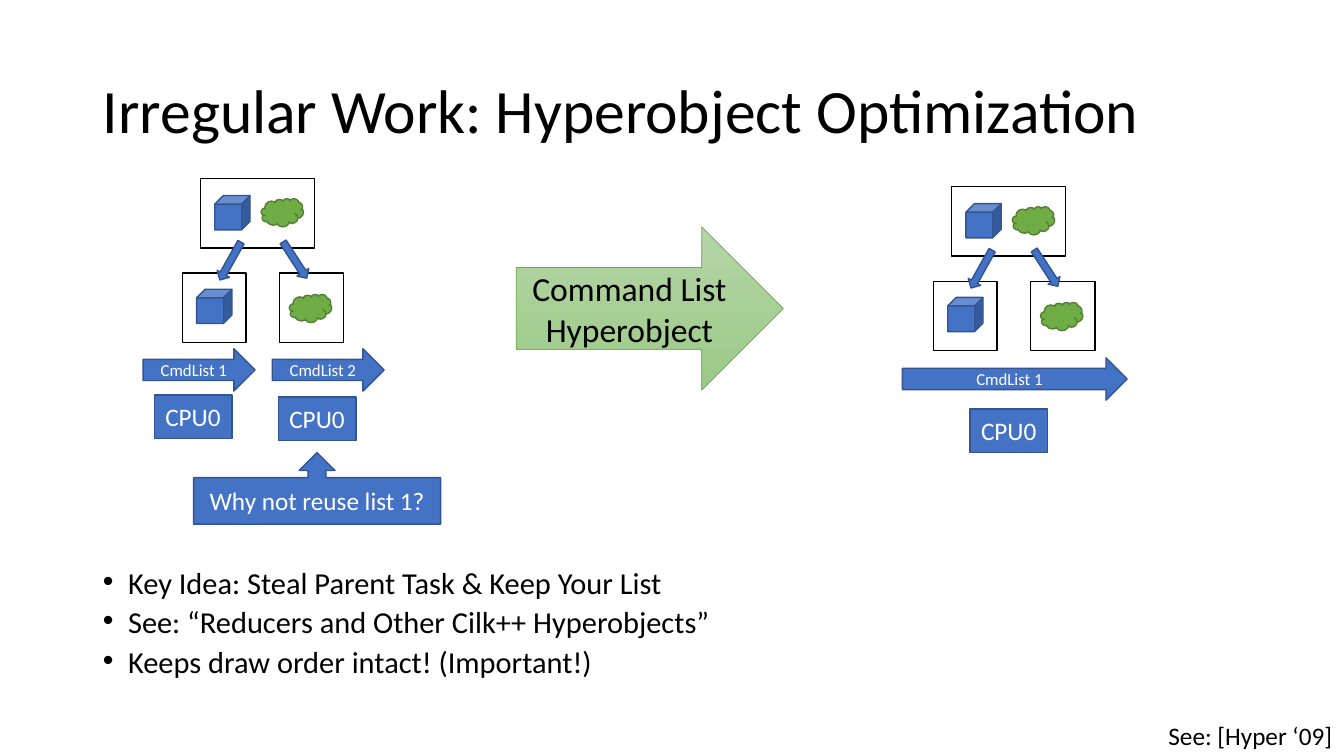
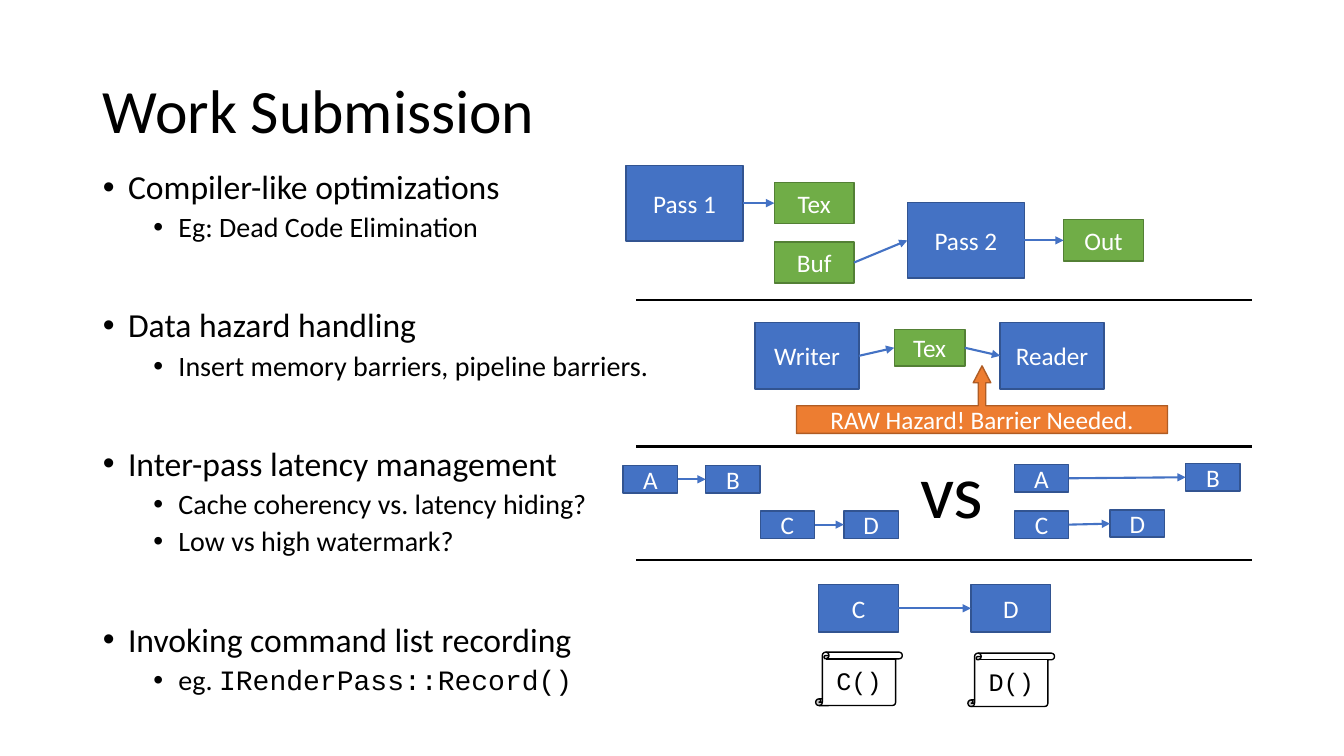
"""Build two slides on command list hyperobjects and work submission."""
import dataclasses

import lxml.etree
import pptx
import pptx.dml.color
import pptx.enum.shapes
import pptx.enum.text
import pptx.oxml.ns
import pptx.util

SHAPE = pptx.enum.shapes.MSO_SHAPE
ALIGN = pptx.enum.text.PP_ALIGN
qualified = pptx.oxml.ns.qn


@dataclasses.dataclass(frozen=True)
class Style:
    """Fill, outline and text look of one family of shapes."""
    fill: str
    line: str
    text: str = "FFFFFF"
    font: str = "Calibri"


@dataclasses.dataclass(frozen=True)
class Theme:
    """Colours, fonts and sizes that the slides share."""
    font: str = "Calibri"
    code_font: str = "Courier New"
    ink: str = "000000"
    accent: str = "4472C4"
    gradient: tuple = ("B5D5A7", "9CC987")
    title_size: float = 44
    heading_size: float = 24
    item_size: float = 20
    label_size: float = 18
    small_size: float = 12
    versus_size: float = 54
    margin: float = 0.92
    content_width: float = 11.5


THEME = Theme()
BLUE = Style(THEME.accent, "325491")
GREEN = Style("70AD47", "538035")
ORANGE = Style("ED7D31", "AF5C24")
PAPER = Style("FFFFFF", THEME.ink, THEME.ink, THEME.code_font)
BIG_ARROW = Style("B5D5A7", "70AD47", THEME.ink)

KEY_POINTS = [
    (0, "Key Idea: Steal Parent Task & Keep Your List", ""),
    (0, "See: “Reducers and Other Cilk++ Hyperobjects”", ""),
    (0, "Keeps draw order intact! (Important!)", ""),
]
SUBMISSION_POINTS = [
    (0, "Compiler-like optimizations", ""),
    (1, "Eg: Dead Code Elimination", ""),
    (0, "Data hazard handling", ""),
    (1, "Insert memory barriers, pipeline barriers.", ""),
    (0, "Inter-pass latency management", ""),
    (1, "Cache coherency vs. latency hiding?", ""),
    (1, "Low vs high watermark?", ""),
    (0, "Invoking command list recording", ""),
    (1, "eg. ", "IRenderPass::Record()"),
]

TREE_ORIGINS = [(1.81, 1.77), (9.26, 1.85)]
TREE_PARTS = [
    (SHAPE.RECTANGLE, PAPER, 0.18, 0, 1.13, 0.69, 0),
    (SHAPE.CUBE, BLUE, 0.32, 0.17, 0.35, 0.34, 0),
    (SHAPE.CLOUD, GREEN, 0.78, 0.2, 0.42, 0.28, 0),
    (SHAPE.RECTANGLE, PAPER, 0, 0.94, 0.63, 0.69, 0),
    (SHAPE.CUBE, BLUE, 0.14, 1.1, 0.35, 0.34, 0),
    (SHAPE.RECTANGLE, PAPER, 0.96, 0.94, 0.64, 0.69, 0),
    (SHAPE.CLOUD, GREEN, 1.06, 1.15, 0.42, 0.28, 0),
    (SHAPE.RIGHT_ARROW, BLUE, 0.9, 0.74, 0.43, 0.14, 56.9),
    (SHAPE.RIGHT_ARROW, BLUE, 0.26, 0.75, 0.43, 0.14, 119.2),
]
COMMAND_LISTS = [
    ("CmdList 1", 1.42, 3.46, 1.11),
    ("CmdList 2", 2.7, 3.46, 1.11),
    ("CmdList 1", 8.95, 3.55, 2.23),
]
PROCESSORS = [(1.53, 3.92), (2.76, 3.94), (9.62, 4.06)]

NODE_KINDS = {
    "pass": (BLUE, 1.16, 0.75),
    "resource": (GREEN, 0.79, 0.41),
    "stage": (BLUE, 1.03, 0.66),
    "texture": (GREEN, 0.7, 0.36),
    "step": (BLUE, 0.54, 0.27),
    "record": (BLUE, 0.79, 0.47),
}
CHAINS = [
    ("pass", "Pass 1", 6.21, 1.64, "resource", "Tex", 7.68, 1.81),
    ("resource", "Buf", 7.68, 2.4, "pass", "Pass 2", 9, 2.01, "resource", "Out", 10.55, 2.18),
    ("stage", "Writer", 7.49, 3.2, "texture", "Tex", 8.87, 3.27, "stage", "Reader", 9.92, 3.2),
    ("step", "A", 6.18, 4.62, "step", "B", 7, 4.62),
    ("step", "C", 7.54, 5.07, "step", "D", 8.37, 5.07),
    ("step", "A", 10.06, 4.61, "step", "B", 11.76, 4.6),
    ("step", "C", 10.06, 5.07, "step", "D", 11.01, 5.06),
    ("record", "C", 8.12, 5.8, "record", "D", 9.63, 5.8),
]
DIVIDERS = [2.98, 4.43, 5.56]
SCROLLS = [("C()", 8.09, 6.47), ("D()", 9.6, 6.48)]


def inches(*values):
    """Turn numbers into lengths."""
    return [pptx.util.Inches(value) for value in values]


def colour(value):
    """Turn a hex string into a colour."""
    return pptx.dml.color.RGBColor.from_string(value)


def set_font(font, size, color=THEME.ink, name=THEME.font):
    """Apply size, colour and typeface."""
    font.size, font.name = pptx.util.Pt(size), name
    font.color.rgb = colour(color)


def add_block(slide, kind, style, left, top, width, height, text="", size=THEME.label_size):
    """Add a filled preset shape with a centred label."""
    shape = slide.shapes.add_shape(kind, *inches(left, top, width, height))
    shape.shadow.inherit = False
    shape.fill.solid()
    shape.fill.fore_color.rgb = colour(style.fill)
    shape.line.color.rgb = colour(style.line)
    shape.line.width = pptx.util.Pt(1)
    if text:
        shape.text_frame.text = text
        paragraph = shape.text_frame.paragraphs[0]
        paragraph.alignment = ALIGN.CENTER
        set_font(paragraph.font, size, style.text, style.font)
    return shape


def add_label(slide, text, left, top, width, height, size, alignment):
    """Add an unwrapped line of free text."""
    frame = slide.shapes.add_textbox(*inches(left, top, width, height)).text_frame
    frame.word_wrap = False
    frame.text = text
    frame.paragraphs[0].alignment = alignment
    set_font(frame.paragraphs[0].font, size)


def add_line(slide, color, start=(0, 0), end=(0, 0)):
    """Add a plain straight connector without shadow."""
    line = slide.shapes.add_connector(
        pptx.enum.shapes.MSO_CONNECTOR.STRAIGHT, *inches(*start, *end))
    line.line.color.rgb = colour(color)
    line.line.width = pptx.util.Pt(1.5)
    lxml.etree.SubElement(line._element.spPr, qualified("a:effectLst"))
    return line


def link(slide, source, target):
    """Draw an arrow from the right side of one box to the left side of the next."""
    arrow = add_line(slide, THEME.accent)
    arrow.begin_connect(source, 3)
    arrow.end_connect(target, 1)
    lxml.etree.SubElement(arrow.line._get_or_add_ln(), qualified("a:tailEnd"), type="triangle")


def fill_bullets(body, items, sizes, spacing, section_gap):
    """Write a bulleted list, setting a gap before each top-level item."""
    frame = body.text_frame
    frame.auto_size = pptx.enum.text.MSO_AUTO_SIZE.NONE
    for index, (level, text, code) in enumerate(items):
        paragraph = frame.add_paragraph() if index else frame.paragraphs[0]
        paragraph.level = level
        paragraph.line_spacing = spacing
        gap = 5 if level else section_gap if index else 0
        paragraph.space_before = pptx.util.Pt(gap)
        set_font(paragraph.font, sizes[level])
        paragraph.add_run().text = text
        if code:
            run = paragraph.add_run()
            run.text, run.font.name = code, THEME.code_font
        properties = paragraph._p.get_or_add_pPr()
        properties.set("marL", str(pptx.util.Inches(0.25 + 0.5 * level)))
        properties.set("indent", str(pptx.util.Inches(-0.25)))
        bullet = lxml.etree.Element(qualified("a:buChar"), char="•")
        properties.find(qualified("a:defRPr")).addprevious(bullet)


def new_slide(presentation, title, body_top, body_height):
    """Add a slide with its title and return it with its body placeholder."""
    slide = presentation.slides.add_slide(presentation.slide_layouts[1])
    heading, body = slide.placeholders
    heading.text_frame.text = title
    heading.text_frame.vertical_anchor = pptx.enum.text.MSO_ANCHOR.MIDDLE
    heading.text_frame.auto_size = pptx.enum.text.MSO_AUTO_SIZE.NONE
    paragraph = heading.text_frame.paragraphs[0]
    paragraph.alignment, paragraph.line_spacing = ALIGN.LEFT, 0.9
    set_font(paragraph.font, THEME.title_size)
    for placeholder, top, height in ((heading, 0.4, 1.45), (body, body_top, body_height)):
        (placeholder.left, placeholder.top, placeholder.width, placeholder.height) = inches(
            THEME.margin, top, THEME.content_width, height)
    return slide, body


def build_hyperobject_slide(presentation):
    """Show two command lists merging into one."""
    slide, body = new_slide(presentation, "Irregular Work: Hyperobject Optimization", 5.64, 1.12)
    fill_bullets(body, KEY_POINTS, [21.7], 0.7, 10)
    arrow = add_block(slide, SHAPE.RIGHT_ARROW, BIG_ARROW, 5.12, 2.25, 2.65, 1.62,
                      "Command List Hyperobject", THEME.heading_size)
    arrow.line.width = pptx.util.Pt(0.5)
    arrow.fill.gradient()
    arrow.fill.gradient_angle = 270
    for stop, shade in zip(arrow.fill.gradient_stops, THEME.gradient):
        stop.color.rgb = colour(shade)
    add_label(slide, "See: [Hyper ‘09]", 11.49, 7.1, 1.85, 0.4, THEME.label_size, ALIGN.LEFT)
    for left, top in PROCESSORS:
        add_block(slide, SHAPE.RECTANGLE, BLUE, left, top, 0.77, 0.43, "CPU0")
    add_block(slide, SHAPE.UP_ARROW_CALLOUT, BLUE, 1.92, 4.49, 2.45, 0.71, "Why not reuse list 1?")
    for left, top in TREE_ORIGINS:
        for kind, style, across, down, width, height, rotation in TREE_PARTS:
            part = add_block(slide, kind, style, left + across, top + down, width, height)
            part.rotation = rotation
    for text, left, top, width in COMMAND_LISTS:
        add_block(slide, SHAPE.RIGHT_ARROW, BLUE, left, top, width, 0.42, text, THEME.small_size)


def build_submission_slide(presentation):
    """Show the steps of work submission beside four diagrams."""
    slide, body = new_slide(presentation, "Work Submission", 1.64, 5.39)
    fill_bullets(body, SUBMISSION_POINTS, [THEME.heading_size, THEME.item_size], 0.9, 46.4)
    for chain in CHAINS:
        boxes = []
        for start in range(0, len(chain), 4):
            kind, text, left, top = chain[start:start + 4]
            style, width, height = NODE_KINDS[kind]
            boxes.append(add_block(slide, SHAPE.RECTANGLE, style, left, top, width, height, text))
        for source, target in zip(boxes, boxes[1:]):
            link(slide, source, target)
    callout = add_block(slide, SHAPE.UP_ARROW_CALLOUT, ORANGE, 7.9, 3.63, 3.68, 0.67,
                        "RAW Hazard! Barrier Needed.")
    for index, value in enumerate((0.11, 0.13, 0.25, 0.41)):
        callout.adjustments[index] = value
    for height in DIVIDERS:
        add_line(slide, THEME.ink, (6.31, height), (12.42, height))
    add_label(slide, "vs", 9.02, 4.34, 0.84, 1.01, THEME.versus_size, ALIGN.CENTER)
    for text, left, top in SCROLLS:
        add_block(slide, SHAPE.VERTICAL_SCROLL, PAPER, left, top, 0.86, 0.53, text)


def main():
    """Build and save the presentation."""
    presentation = pptx.Presentation()
    presentation.slide_width, presentation.slide_height = inches(13.33, 7.5)
    build_hyperobject_slide(presentation)
    build_submission_slide(presentation)
    presentation.save("out.pptx")


if __name__ == "__main__":
    main()
